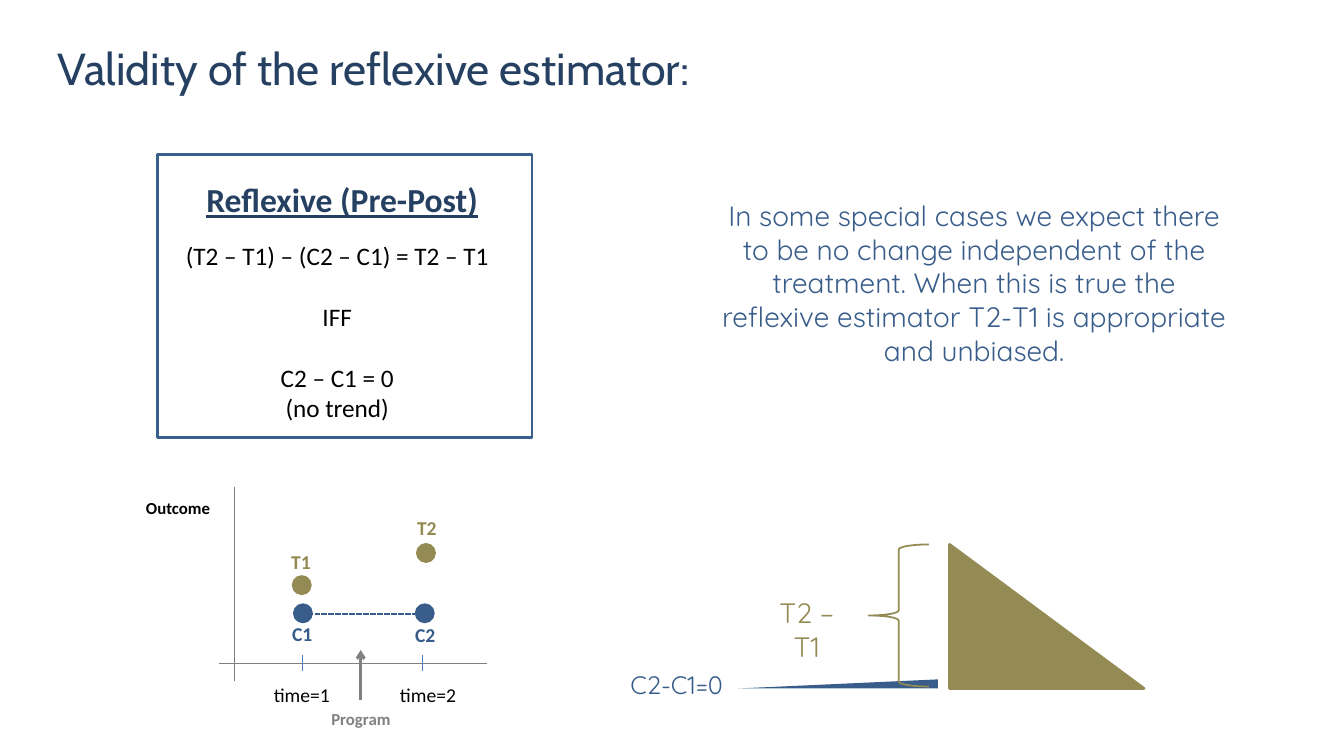
from dataclasses import dataclass
from typing import Optional

from lxml import etree
from pptx import Presentation
from pptx.dml.color import RGBColor
from pptx.enum.dml import MSO_LINE
from pptx.enum.shapes import MSO_CONNECTOR, MSO_SHAPE
from pptx.enum.text import MSO_ANCHOR, MSO_AUTO_SIZE, PP_ALIGN
from pptx.oxml.ns import qn
from pptx.util import Cm, Pt

LEFT, CENTER = PP_ALIGN.LEFT, PP_ALIGN.CENTER
TOP, MIDDLE = MSO_ANCHOR.TOP, MSO_ANCHOR.MIDDLE
FIT_TEXT = MSO_AUTO_SIZE.SHAPE_TO_FIT_TEXT
STRAIGHT = MSO_CONNECTOR.STRAIGHT
DASHED = MSO_LINE.SQUARE_DOT
OVAL, FRAME = MSO_SHAPE.OVAL, MSO_SHAPE.RECTANGLE
TRIANGLE, BRACE = MSO_SHAPE.RIGHT_TRIANGLE, MSO_SHAPE.RIGHT_BRACE
TITLE_ONLY = 5


@dataclass(frozen=True)
class Theme:
    navy: str = "254061"
    blue: str = "385D8A"
    frame: str = "3A5F8C"
    tick: str = "4B7EBC"
    olive: str = "948A54"
    gray: str = "808080"
    black: str = "000000"
    title_font: str = "Cabin"
    chart_font: str = "Calibri"
    note_font: str = "Quicksand"
    title: int = 32
    heading: int = 24
    note: int = 20
    body: int = 18
    label: int = 14
    small: int = 12


THEME = Theme()


@dataclass(frozen=True)
class Label:
    text: str
    left: float
    top: float
    width: float
    height: float
    color: str
    size: int = THEME.label
    bold: bool = True


@dataclass(frozen=True)
class Figure:
    kind: int
    left: float
    top: float
    width: float
    height: float
    fill: Optional[str] = None
    line: Optional[str] = None
    weight: float = 2
    flipped: bool = False


@dataclass(frozen=True)
class Segment:
    x1: float
    y1: float
    x2: float
    y2: float
    color: str
    weight: float = 0.75
    dash: Optional[int] = None
    arrow: bool = False


AXIS_Y = 16.71
TICKS = (7.62, 10.64)
DOT = 0.43
DOTS = (
    (7.42, 15.24, THEME.blue),
    (10.49, 15.24, THEME.blue),
    (7.39, 14.53, THEME.olive),
    (10.52, 13.72, THEME.olive),
)
SEGMENTS = (
    Segment(5.92, 12.27, 5.92, 17.15, THEME.gray),
    Segment(5.51, AXIS_Y, 12.27, AXIS_Y, THEME.gray),
    *(Segment(x, AXIS_Y - 0.2, x, AXIS_Y + 0.2, THEME.tick) for x in TICKS),
    Segment(9.09, 17.65, 9.09, 16.38, THEME.gray, 2, arrow=True),
    Segment(7.75, 15.47, 10.74, 15.47, THEME.blue, 1.25, DASHED),
)
FIGURES = (
    *(Figure(OVAL, x, y, DOT, DOT, color, color) for x, y, color in DOTS),
    Figure(FRAME, 3.96, 3.89, 9.45, 7.14, line=THEME.frame),
    Figure(TRIANGLE, 23.93, 13.72, 4.9, 3.63, THEME.olive, THEME.olive),
    Figure(TRIANGLE, 18.59, 17.12, 5.05, 0.23, THEME.blue, flipped=True),
    Figure(BRACE, 21.89, 13.72, 1.52, 3.58, line=THEME.olive, weight=1.25, flipped=True),
)
LABELS = (
    Label("time=1", 6.65, 17.09, 2.01, 0.86, THEME.black, bold=False),
    Label("time=2", 9.83, 17.09, 2.01, 0.86, THEME.black, bold=False),
    Label("Program", 8.1, 17.73, 2.03, 0.76, THEME.gray, THEME.small),
    Label("Outcome", 3.43, 12.42, 2.13, 0.76, THEME.black, THEME.small),
    Label("T2", 10.26, 12.88, 1.02, 0.86, THEME.olive),
    Label("T1", 7.09, 13.72, 1.02, 0.86, THEME.olive),
    Label("C1", 7.11, 15.54, 1.04, 0.86, THEME.blue),
    Label("C2", 10.21, 15.57, 1.04, 0.86, THEME.blue),
)
EQUATION = ("(T2 – T1) – (C2 – C1) = T2 – T1", "IFF", "C2 – C1 = 0\v(no trend)")
NOTE = (
    "In some special cases we expect there to be no change independent of the "
    "treatment. When this is true the reflexive estimator T2-T1 is appropriate "
    "and unbiased."
)


def write_text(box, *lines: str, size: int, color: str, font: str = THEME.chart_font,
               align: int = LEFT, anchor: int = TOP, wrap: bool = False,
               bold: bool = False, underline: bool = False, gap: float = 0) -> None:
    """Fill a box with one paragraph per line, gap points apart."""
    frame = box.text_frame
    frame.word_wrap = wrap
    frame.auto_size = FIT_TEXT
    frame.vertical_anchor = anchor
    for index, line in enumerate(lines):
        para = frame.add_paragraph() if index else frame.paragraphs[0]
        para.text = line
        para.alignment = align
        if index:
            para.space_before = Pt(gap)
        for span in para.runs:
            span.font.name = font
            span.font.size = Pt(size)
            span.font.bold = bold
            span.font.underline = underline
            span.font.color.rgb = RGBColor.from_string(color)


def add_box(page, left: float, top: float, width: float, height: float):
    return page.shapes.add_textbox(Cm(left), Cm(top), Cm(width), Cm(height))


def draw_figure(page, figure: Figure) -> None:
    shape = page.shapes.add_shape(figure.kind, Cm(figure.left), Cm(figure.top),
                                  Cm(figure.width), Cm(figure.height))
    shape.shadow.inherit = False
    if figure.fill:
        shape.fill.solid()
        shape.fill.fore_color.rgb = RGBColor.from_string(figure.fill)
    else:
        shape.fill.background()
    if figure.line:
        shape.line.color.rgb = RGBColor.from_string(figure.line)
        shape.line.width = Pt(figure.weight)
    else:
        shape.line.fill.background()
    if figure.flipped:
        shape._element.spPr.find(qn("a:xfrm")).set("flipH", "1")


def draw_segment(page, segment: Segment) -> None:
    line = page.shapes.add_connector(STRAIGHT, Cm(segment.x1), Cm(segment.y1),
                                     Cm(segment.x2), Cm(segment.y2))
    line.line.color.rgb = RGBColor.from_string(segment.color)
    line.line.width = Pt(segment.weight)
    if segment.dash:
        line.line.dash_style = segment.dash
    properties = line._element.spPr
    if segment.arrow:
        etree.SubElement(properties.find(qn("a:ln")), qn("a:tailEnd"), type="arrow")
    etree.SubElement(properties, qn("a:effectLst"))


def draw_label(page, label: Label) -> None:
    box = add_box(page, label.left, label.top, label.width, label.height)
    write_text(box, label.text, size=label.size, color=label.color, bold=label.bold)


def main() -> None:
    deck = Presentation()
    deck.slide_width, deck.slide_height = Cm(33.87), Cm(19.05)
    page = deck.slides.add_slide(deck.slide_layouts[TITLE_ONLY])

    title = page.shapes.title
    title.left, title.top, title.width, title.height = Cm(1.19), Cm(0.89), Cm(19.8), Cm(1.63)
    write_text(title, "Validity of the reflexive estimator:", size=THEME.title,
               color=THEME.navy, font=THEME.title_font, anchor=MIDDLE, wrap=True)

    for segment in SEGMENTS:
        draw_segment(page, segment)
    for figure in FIGURES:
        draw_figure(page, figure)
    for label in LABELS:
        draw_label(page, label)

    write_text(add_box(page, 4.95, 4.39, 7.44, 1.27), "Reflexive (Pre-Post)",
               size=THEME.heading, color=THEME.navy, bold=True, underline=True)
    write_text(add_box(page, 4.37, 5.92, 8.26, 4.88), *EQUATION,
               size=THEME.body, color=THEME.black, align=CENTER, gap=22)
    write_text(add_box(page, 19, 14.88, 2.67, 1.12), "T2 – T1", size=THEME.note,
               color=THEME.olive, font=THEME.note_font, align=CENTER, wrap=True)
    write_text(add_box(page, 15.44, 16.74, 3.23, 1.02), "C2-C1=0", size=THEME.body,
               color=THEME.blue, font=THEME.note_font, align=CENTER, wrap=True)
    write_text(add_box(page, 17.88, 4.88, 13.34, 4.52), NOTE, size=THEME.note,
               color=THEME.blue, font=THEME.note_font, align=CENTER, wrap=True)
    deck.save("out.pptx")


if __name__ == "__main__":
    main()
